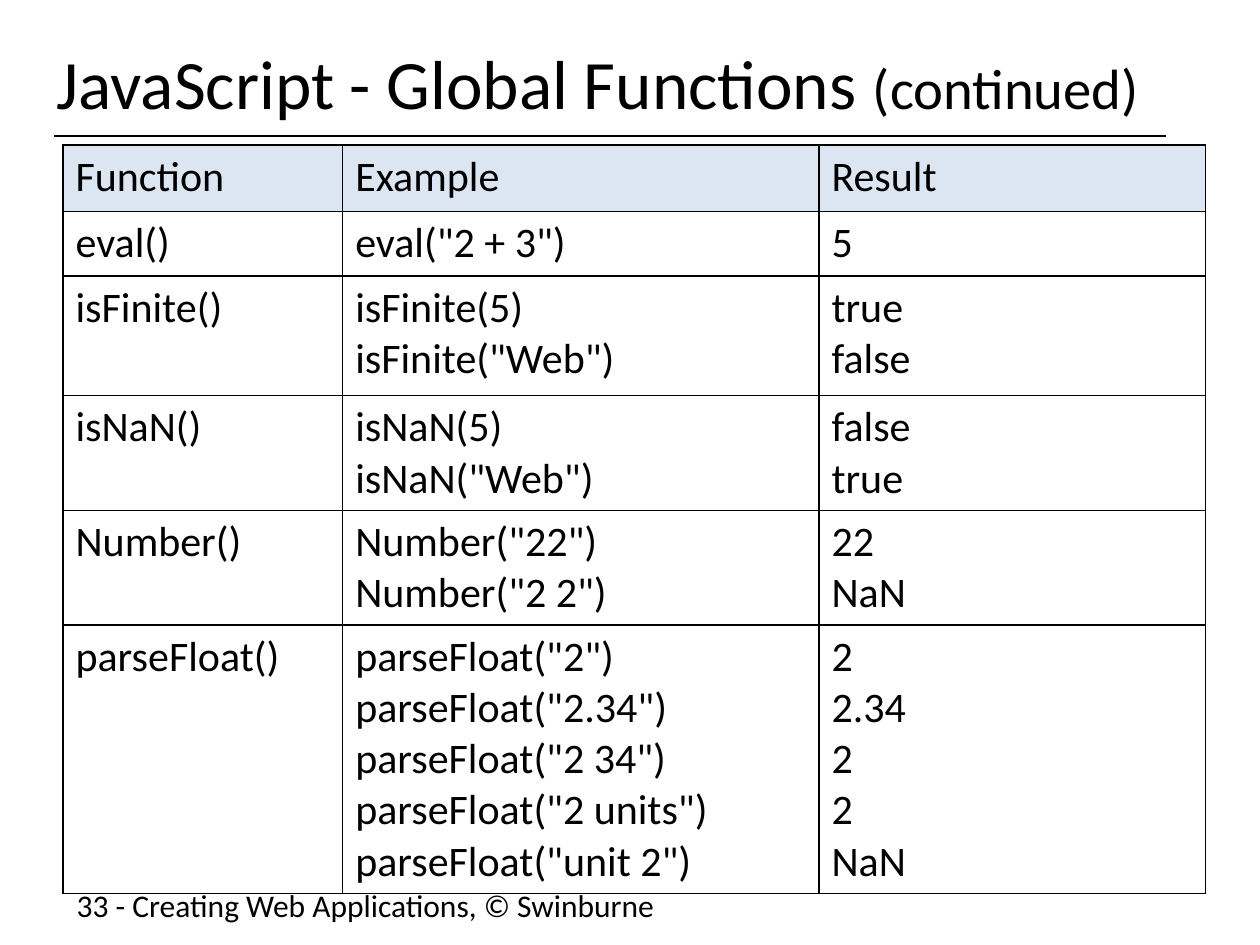
from lxml.etree import SubElement
from pptx import Presentation
from pptx.dml.color import RGBColor
from pptx.enum.shapes import MSO_CONNECTOR
from pptx.enum.text import MSO_ANCHOR
from pptx.oxml.ns import qn
from pptx.util import Inches, Pt

COLOURS = {"ink": "000000", "header": "DCE6F2", "body": "FFFFFF"}
FRAME_FORMAT = {"word_wrap": True, "vertical_anchor": MSO_ANCHOR.TOP}
COLUMN_WIDTHS = [2.22, 3.78, 3.07]
ROW_HEIGHTS = [0.53, 0.51, 0.95, 0.91, 0.91, 2.13]
FUNCTIONS = [
    ("Function", ["Example"], ["Result"]),
    ("eval()", ['eval("2 + 3")'], ["5"]),
    ("isFinite()", ["isFinite(5)", 'isFinite("Web")'], ["true", "false"]),
    ("isNaN()", ["isNaN(5)", 'isNaN("Web")'], ["false", "true"]),
    ("Number()", ['Number("22")', 'Number("2 2")'], ["22", "NaN"]),
    (
        "parseFloat()",
        [
            'parseFloat("2")',
            'parseFloat("2.34")',
            'parseFloat("2 34")',
            'parseFloat("2 units")',
            'parseFloat("unit 2")',
        ],
        ["2", "2.34", "2", "2", "NaN"],
    ),
]


class SlideBuilder:
    def __init__(self, slide, font="Calibri"):
        self.slide = slide
        self.font = font

    def colour(self, key):
        return RGBColor.from_string(COLOURS[key])

    def style(self, font, size):
        for attribute, value in {"name": self.font, "size": Pt(size)}.items():
            setattr(font, attribute, value)
        font.color.rgb = self.colour("ink")

    def text(self, bounds, runs, **frame_format):
        frame = self.slide.shapes.add_textbox(*map(Inches, bounds)).text_frame
        for attribute, value in {**FRAME_FORMAT, **frame_format}.items():
            setattr(frame, attribute, value)
        for wording, size in runs:
            run = frame.paragraphs[0].add_run()
            run.text = wording
            self.style(run.font, size)

    def rule(self, start, end, width):
        rule = self.slide.shapes.add_connector(
            MSO_CONNECTOR.STRAIGHT, *map(Inches, start + end)
        )
        rule.line.color.rgb = self.colour("ink")
        rule.line.width = Pt(width)
        SubElement(rule._element.spPr, qn("a:effectLst"))

    def borders(self, cell, width):
        properties = cell._tc.get_or_add_tcPr()
        for side in ("lnL", "lnR", "lnT", "lnB"):
            border = SubElement(properties, qn(f"a:{side}"), w=str(Pt(width)))
            fill = SubElement(border, qn("a:solidFill"))
            SubElement(fill, qn("a:srgbClr"), val=COLOURS["ink"])

    def cell(self, cell, wording, fill, size):
        self.borders(cell, 1)
        cell.fill.solid()
        cell.fill.fore_color.rgb = self.colour(fill)
        cell.text = wording
        for paragraph in cell.text_frame.paragraphs:
            for run in paragraph.runs:
                self.style(run.font, size)

    def table(self, left, top, widths, heights, rows, size):
        bounds = (left, top, sum(widths), sum(heights))
        table = self.slide.shapes.add_table(
            len(rows), len(widths), *map(Inches, bounds)
        ).table
        for column, width in zip(table.columns, widths):
            column.width = Inches(width)
        for row, height in zip(table.rows, heights):
            row.height = Inches(height)
        for row_index, (function, examples, results) in enumerate(rows):
            fill = "body" if row_index else "header"
            entries = (function, "\n".join(examples), "\n".join(results))
            for column_index, wording in enumerate(entries):
                self.cell(table.cell(row_index, column_index), wording, fill, size)


def main():
    presentation = Presentation()
    presentation.slide_width = Inches(10)
    presentation.slide_height = Inches(7.5)
    builder = SlideBuilder(
        presentation.slides.add_slide(presentation.slide_layouts[6])
    )
    builder.rule((0.43, 1.08), (9.25, 1.08), 0.75)
    builder.text(
        (0.51, 6.98, 5.51, 0.39),
        [("33 - Creating Web Applications, © Swinburne", 18)],
    )
    builder.text(
        (0.35, 0.3, 9.15, 0.69),
        [("JavaScript - Global Functions ", 39.6), ("(continued)", 32.4)],
        vertical_anchor=MSO_ANCHOR.MIDDLE,
    )
    builder.table(0.5, 1.15, COLUMN_WIDTHS, ROW_HEIGHTS, FUNCTIONS, 24)
    presentation.save("out.pptx")


if __name__ == "__main__":
    main()
